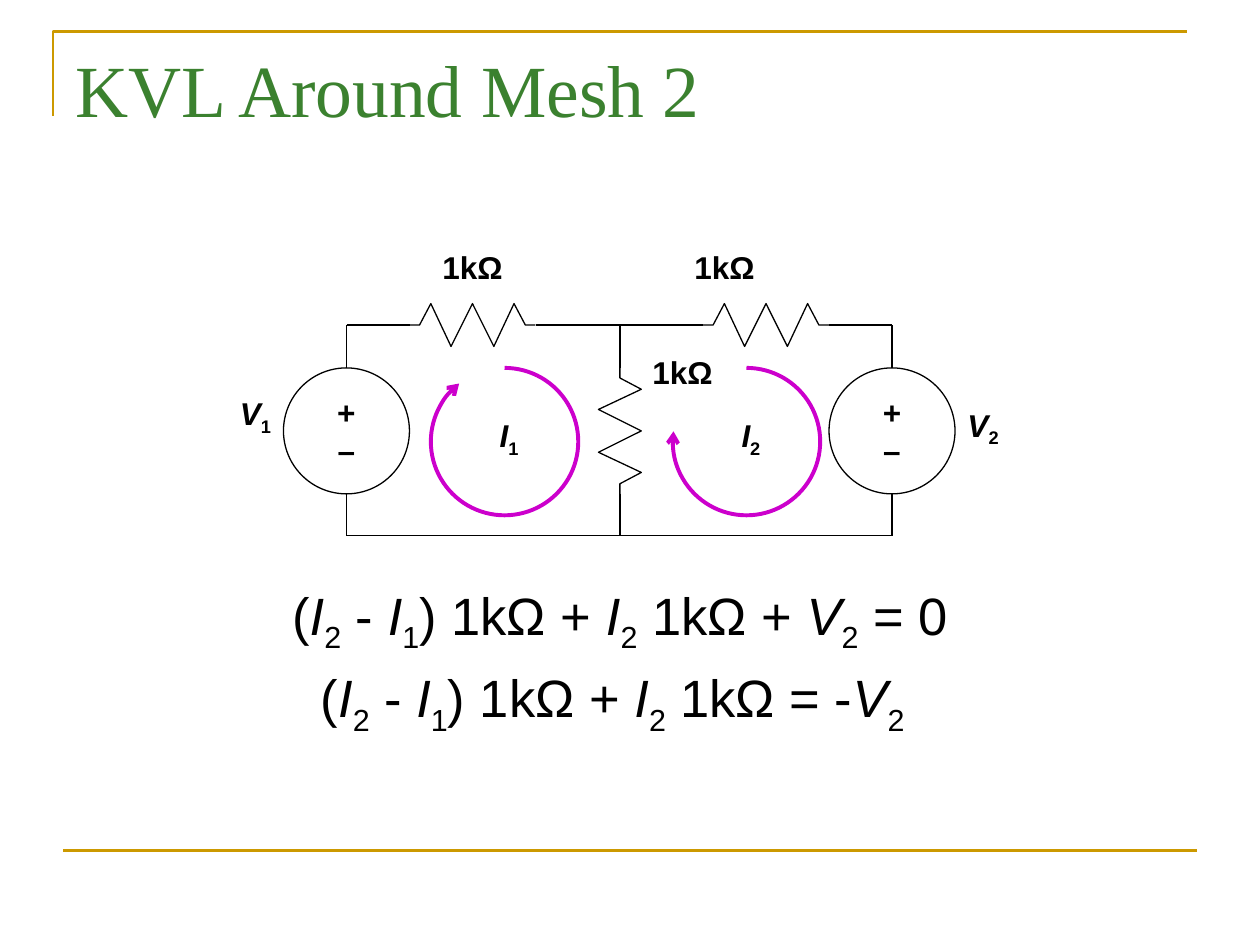
from dataclasses import dataclass
from typing import NamedTuple

from lxml.etree import SubElement
from pptx import Presentation
from pptx.dml.color import RGBColor
from pptx.enum.shapes import MSO_CONNECTOR as Connector, MSO_SHAPE as Shape
from pptx.enum.text import MSO_ANCHOR as Anchor, PP_ALIGN as Align
from pptx.oxml.ns import qn
from pptx.util import Inches, Pt


@dataclass(frozen=True)
class Theme:
    title_font: str = "Times New Roman"
    body_font: str = "Arial"
    title_color: RGBColor = RGBColor(0x3B, 0x81, 0x2F)
    rule_color: RGBColor = RGBColor(0xCC, 0x99, 0x00)
    mesh_color: RGBColor = RGBColor(0xCC, 0x00, 0xCC)
    ink: RGBColor = RGBColor(0, 0, 0)
    title_size: int = 42
    equation_size: int = 30
    label_size: int = 18
    wire_width: float = 0.75
    rule_width: float = 1.5
    mesh_width: float = 2.25


class Point(NamedTuple):
    x: float
    y: float


class Label(NamedTuple):
    text: str
    left: float
    top: float
    width: float
    align: Align


class Mesh(NamedTuple):
    left: float
    end_angle: int


THEME = Theme()
LEFT, MIDDLE, RIGHT = 2.75, 4.92, 7.08
TOP, BOTTOM = 2.58, 4.25
SOURCE_TOP, SOURCE_BOTTOM = 2.92, 3.92
RESISTOR_STEPS = ((0, 0), (0.08, 0), (0.17, -1), (0.33, 1), (0.5, -1),
                  (0.67, 1), (0.83, -1), (0.92, 0), (1, 0))
RESISTOR_SWING = 0.17

WIRES = (
    (Point(LEFT, TOP), Point(3.25, TOP)),
    (Point(4.25, TOP), Point(5.58, TOP)),
    (Point(6.58, TOP), Point(RIGHT, TOP)),
    (Point(LEFT, BOTTOM), Point(RIGHT, BOTTOM)),
    *((Point(x, TOP), Point(x, SOURCE_TOP)) for x in (LEFT, MIDDLE, RIGHT)),
    *((Point(x, SOURCE_BOTTOM), Point(x, BOTTOM)) for x in (LEFT, MIDDLE, RIGHT)),
)
LABELS = (
    Label("1kΩ", 3.25, 1.92, 1, Align.CENTER),
    Label("1kΩ", 5.25, 1.92, 1, Align.CENTER),
    Label("1kΩ", 5.08, 2.75, 1, Align.LEFT),
    Label("V_1", 1.67, 3.08, 0.58, Align.RIGHT),
    Label("V_2", 7.58, 3.17, 0.58, Align.LEFT),
    Label("I_1", 3.75, 3.25, 0.58, Align.CENTER),
    Label("I_2", 5.67, 3.25, 0.58, Align.CENTER),
)
MESHES = (Mesh(3.42, 232), Mesh(5.34, 188))
EQUATIONS = ("(I_2 - I_1) 1kΩ + I_2 1kΩ + V_2 = 0",
             "(I_2 - I_1) 1kΩ + I_2 1kΩ = -V_2 ")


def add_run(paragraph, text: str, *, size: int, font: str = THEME.body_font,
            color: RGBColor = THEME.ink, bold: bool = False,
            italic: bool = False, subscript: bool = False) -> None:
    if not text:
        return
    run = paragraph.add_run()
    run.text = text
    run.font.name, run.font.size = font, Pt(size)
    run.font.color.rgb = color
    run.font.bold, run.font.italic = bold, italic
    if subscript:
        run.font._element.set("baseline", "-25000")


def add_math(paragraph, text: str, **style) -> None:
    """Write text in which X_n is an italic symbol X with subscript n."""
    first, *rest = text.split("_")
    pieces = [first] + [piece[1:] for piece in rest]
    for index, piece in enumerate(pieces):
        if index:
            add_run(paragraph, rest[index - 1][0], subscript=True, **style)
        if index < len(rest):
            add_run(paragraph, piece[:-1], **style)
            add_run(paragraph, piece[-1], italic=True, **style)
        else:
            add_run(paragraph, piece, **style)


def add_text(slide, lines: tuple[str, ...], left: float, top: float, width: float,
             height: float, *, align: Align, size: int, bold: bool = False,
             spacing: float = 0) -> None:
    box = slide.shapes.add_textbox(*map(Inches, (left, top, width, height)))
    frame = box.text_frame
    frame.word_wrap = True
    for index, line in enumerate(lines):
        paragraph = frame.add_paragraph() if index else frame.paragraphs[0]
        paragraph.alignment = align
        paragraph.space_before = Pt(spacing)
        add_math(paragraph, line, size=size, bold=bold)


def set_line(shape, color: RGBColor, width: float) -> None:
    shape.line.color.rgb = color
    shape.line.width = Pt(width)


def add_line(slide, start: Point, end: Point, *, color: RGBColor = THEME.ink,
             width: float = THEME.wire_width) -> None:
    line = slide.shapes.add_connector(Connector.STRAIGHT, *map(Inches, (*start, *end)))
    set_line(line, color, width)
    SubElement(line._element.spPr, qn("a:effectLst"))


def add_polyline(slide, points: list[Point], *, color: RGBColor = THEME.ink,
                 width: float = THEME.wire_width) -> None:
    start, *others = [(Inches(point.x), Inches(point.y)) for point in points]
    builder = slide.shapes.build_freeform(*start)
    builder.add_line_segments(others, close=False)
    shape = builder.convert_to_shape()
    shape.shadow.inherit = False
    shape.fill.background()
    set_line(shape, color, width)


def add_resistor(slide, start: Point, *, vertical: bool = False) -> None:
    points = []
    for along, side in RESISTOR_STEPS:
        across = side * RESISTOR_SWING
        points.append(Point(start.x - across, start.y + along) if vertical
                      else Point(start.x + along, start.y + across))
    add_polyline(slide, points)


def add_source(slide, center_x: float) -> None:
    circle = slide.shapes.add_shape(
        Shape.OVAL, *map(Inches, (center_x - 0.5, SOURCE_TOP, 1, 1)))
    circle.shadow.inherit = False
    circle.fill.background()
    set_line(circle, THEME.ink, THEME.wire_width)
    frame = circle.text_frame
    frame.word_wrap = False
    frame.vertical_anchor = Anchor.MIDDLE
    for paragraph, sign in zip((frame.paragraphs[0], frame.add_paragraph()), "+–"):
        paragraph.alignment = Align.CENTER
        add_run(paragraph, sign, size=THEME.label_size, bold=True)


def add_mesh_arrow(slide, mesh: Mesh) -> None:
    arc = slide.shapes.add_shape(
        Shape.ARC, *map(Inches, (mesh.left, SOURCE_TOP, 1.17, 1.17)))
    for index, degrees in enumerate((270, mesh.end_angle)):
        arc.adjustments[index] = degrees * 0.6  # 60000 units a degree, over 100000
    arc.shadow.inherit = False
    arc.fill.background()
    set_line(arc, THEME.mesh_color, THEME.mesh_width)
    SubElement(arc.line._get_or_add_ln(), qn("a:tailEnd"), type="arrow")


def add_title(slide, text: str) -> None:
    title = slide.shapes.title
    title.left, title.top, title.width, title.height = map(Inches, (0.5, 0.3, 9, 1.25))
    frame = title.text_frame
    frame.vertical_anchor = Anchor.TOP
    paragraph = frame.paragraphs[0]
    paragraph.alignment = Align.LEFT
    add_run(paragraph, text, size=THEME.title_size, font=THEME.title_font,
            color=THEME.title_color)


def main() -> None:
    presentation = Presentation()
    presentation.slide_width, presentation.slide_height = Inches(10), Inches(7.5)
    slide = presentation.slides.add_slide(presentation.slide_layouts[5])
    rule = {"color": THEME.rule_color, "width": THEME.rule_width}
    add_polyline(slide, [Point(0.42, 0.92), Point(0.42, 0.25), Point(9.42, 0.25)], **rule)
    add_line(slide, Point(0.5, 6.75), Point(9.5, 6.75), **rule)
    add_title(slide, "KVL Around Mesh 2")
    add_text(slide, EQUATIONS, 0.67, 4.58, 8.5, 1.75, align=Align.CENTER,
             size=THEME.equation_size, spacing=6)
    for start, end in WIRES:
        add_line(slide, start, end)
    for x in (3.25, 5.58):
        add_resistor(slide, Point(x, TOP))
    add_resistor(slide, Point(MIDDLE, SOURCE_TOP), vertical=True)
    for mesh in MESHES:
        add_mesh_arrow(slide, mesh)
    for label in LABELS:
        add_text(slide, (label.text,), label.left, label.top, label.width, 0.5,
                 align=label.align, size=THEME.label_size, bold=True)
    for x in (LEFT, RIGHT):
        add_source(slide, x)
    presentation.save("out.pptx")


if __name__ == "__main__":
    main()
